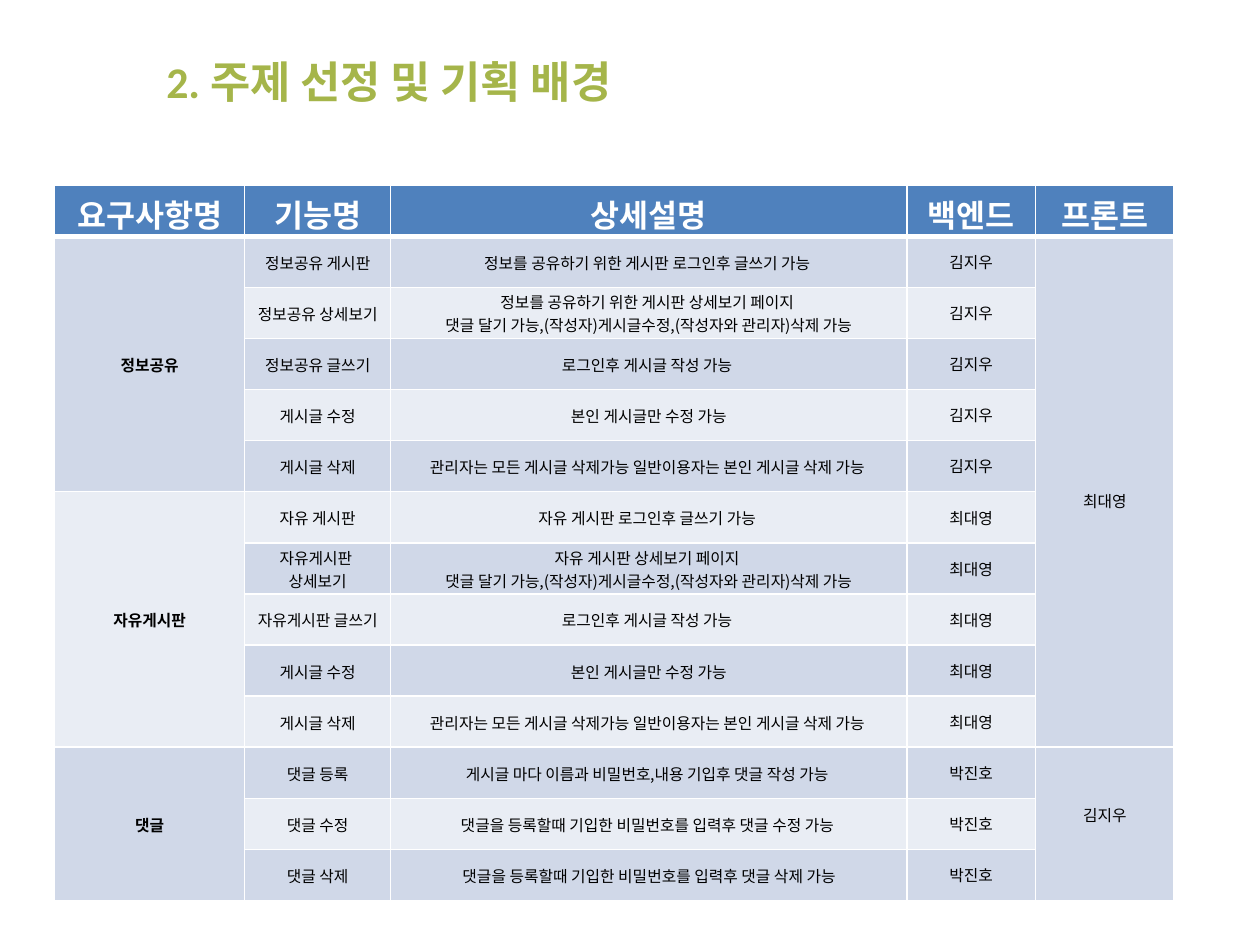
from lxml import etree
from pptx import Presentation
from pptx.dml.color import RGBColor
from pptx.enum.text import MSO_ANCHOR as Anchor, PP_ALIGN as Align
from pptx.oxml.ns import qn
from pptx.util import Pt

COLORS = {
    "title": "A5B54A", "header": "4F81BD", "dark_band": "D0D8E8",
    "light_band": "E9EDF4", "white": "FFFFFF", "black": "000000",
}
LATIN, KOREAN = "Calibri", "Noto Sans CJK KR"
NORMAL = (7.2, 3.6, 7.2, 3.6)
TIGHT = (0.75, 0.75, 0.75, 0)

HEADERS = ["요구사항명", "기능명", "상세설명", "백엔드", "프론트"]
COLUMN_WIDTHS = [108.6, 83.4, 295, 73.6, 79.2]
ROW_HEIGHT = 29.2

BOARD_DETAIL = "댓글 달기 가능,(작성자)게시글수정,(작성자와 관리자)삭제 가능"
POST_FEATURES = [
    ("게시글 수정", " 본인 게시글만 수정 가능 "),
    ("게시글 삭제", "관리자는 모든 게시글 삭제가능 일반이용자는 본인 게시글 삭제 가능 "),
]
WRITE_DETAIL = "로그인후 게시글 작성 가능 "

# requirement, backend developer, features with their descriptions
REQUIREMENTS = [
    ("정보공유", "김지우", [
        ("정보공유 게시판", "정보를 공유하기 위한 게시판 로그인후 글쓰기 가능 "),
        ("정보공유 상세보기", "정보를 공유하기 위한 게시판 상세보기 페이지 \v" + BOARD_DETAIL),
        ("정보공유 글쓰기", WRITE_DETAIL),
        *POST_FEATURES,
    ]),
    ("자유게시판", "최대영", [
        ("자유 게시판", "자유 게시판 로그인후 글쓰기 가능 "),
        ("자유게시판 \n상세보기", "자유 게시판 상세보기 페이지 \v" + BOARD_DETAIL),
        ("자유게시판 글쓰기", WRITE_DETAIL),
        *POST_FEATURES,
    ]),
    ("댓글", "박진호", [
        ("댓글 등록", "게시글 마다 이름과 비밀번호,내용 기입후 댓글 작성 가능 "),
        ("댓글 수정", "댓글을 등록할때 기입한 비밀번호를 입력후 댓글 수정 가능 "),
        ("댓글 삭제", "댓글을 등록할때 기입한 비밀번호를 입력후 댓글 삭제 가능"),
    ]),
]
# first row, last row, frontend developer, cell margins
FRONTENDS = [
    (1, 10, "최대영", (7.2, 14, 7.2, 3.6)),
    (11, 13, "김지우", (7.2, 3.6, 7.2, 14)),
]


class SlideBuilder:
    def __init__(self, slide):
        self.slide = slide

    def format_runs(self, frame, size, color, bold=False, font=LATIN, align=Align.CENTER):
        for paragraph in frame.paragraphs:
            paragraph.alignment = align
            for run in paragraph.runs:
                run.font.size = Pt(size)
                run.font.bold = bold
                run.font.name = font
                run.font.color.rgb = RGBColor.from_string(COLORS[color])
                east_asian = etree.Element(qn("a:ea"), typeface=KOREAN)
                run.font._element.find(qn("a:latin")).addnext(east_asian)

    def title(self, text, left, top, width, height):
        frame = self.slide.shapes.add_textbox(
            Pt(left), Pt(top), Pt(width), Pt(height)).text_frame
        frame.word_wrap = True
        frame.vertical_anchor = Anchor.MIDDLE
        frame.text = text
        self.format_runs(frame, 25, "title", bold=True, align=Align.LEFT)

    def table(self, left, top, widths, row_count):
        table = self.slide.shapes.add_table(
            row_count, len(widths), Pt(left), Pt(top),
            Pt(sum(widths)), Pt(ROW_HEIGHT * row_count)).table
        for column, width in zip(table.columns, widths):
            column.width = Pt(width)
        for index, row in enumerate(table.rows):
            row.height = Pt(ROW_HEIGHT)
            band = "dark_band" if index % 2 else "light_band"
            for cell in row.cells:
                self.borders(cell, 1 if index else 3)
                cell.fill.solid()
                cell.fill.fore_color.rgb = RGBColor.from_string(
                    COLORS[band if index else "header"])
        return table

    def borders(self, cell, bottom_width):
        properties = cell._tc.get_or_add_tcPr()
        for side, width in (("L", 1), ("R", 1), ("T", 1), ("B", bottom_width)):
            line = etree.SubElement(properties, qn("a:ln" + side), w=str(Pt(width)))
            fill = etree.SubElement(line, qn("a:solidFill"))
            etree.SubElement(fill, qn("a:srgbClr"), val=COLORS["white"])

    def cell(self, cell, text, margins=TIGHT, size=9, color="black", **style):
        cell.text_frame.text = text
        cell.vertical_anchor = Anchor.MIDDLE
        (cell.margin_left, cell.margin_top,
         cell.margin_right, cell.margin_bottom) = map(Pt, margins)
        self.format_runs(cell.text_frame, size, color, **style)


def main():
    presentation = Presentation()
    presentation.slide_width, presentation.slide_height = Pt(720), Pt(540)
    builder = SlideBuilder(presentation.slides.add_slide(presentation.slide_layouts[6]))
    builder.title("2. 주제 선정 및 기획 배경", 88, 18, 596, 57)

    row_count = 1 + sum(len(features) for _, _, features in REQUIREMENTS)
    table = builder.table(31.2, 105.8, COLUMN_WIDTHS, row_count)
    for column, header in enumerate(HEADERS):
        builder.cell(table.cell(0, column), header, NORMAL, 18, "white", bold=True)

    row = 1
    for requirement, backend, features in REQUIREMENTS:
        group = table.cell(row, 0)
        group.merge(table.cell(row + len(features) - 1, 0))
        builder.cell(group, requirement, bold=True, font=KOREAN)
        for feature, description in features:
            builder.cell(table.cell(row, 1), feature, font=KOREAN)
            builder.cell(table.cell(row, 2), description, font=KOREAN)
            builder.cell(table.cell(row, 3), backend, NORMAL)
            row += 1

    for first, last, frontend, margins in FRONTENDS:
        owner = table.cell(first, 4)
        owner.merge(table.cell(last, 4))
        builder.cell(owner, frontend, margins)

    presentation.save("out.pptx")


if __name__ == "__main__":
    main()
